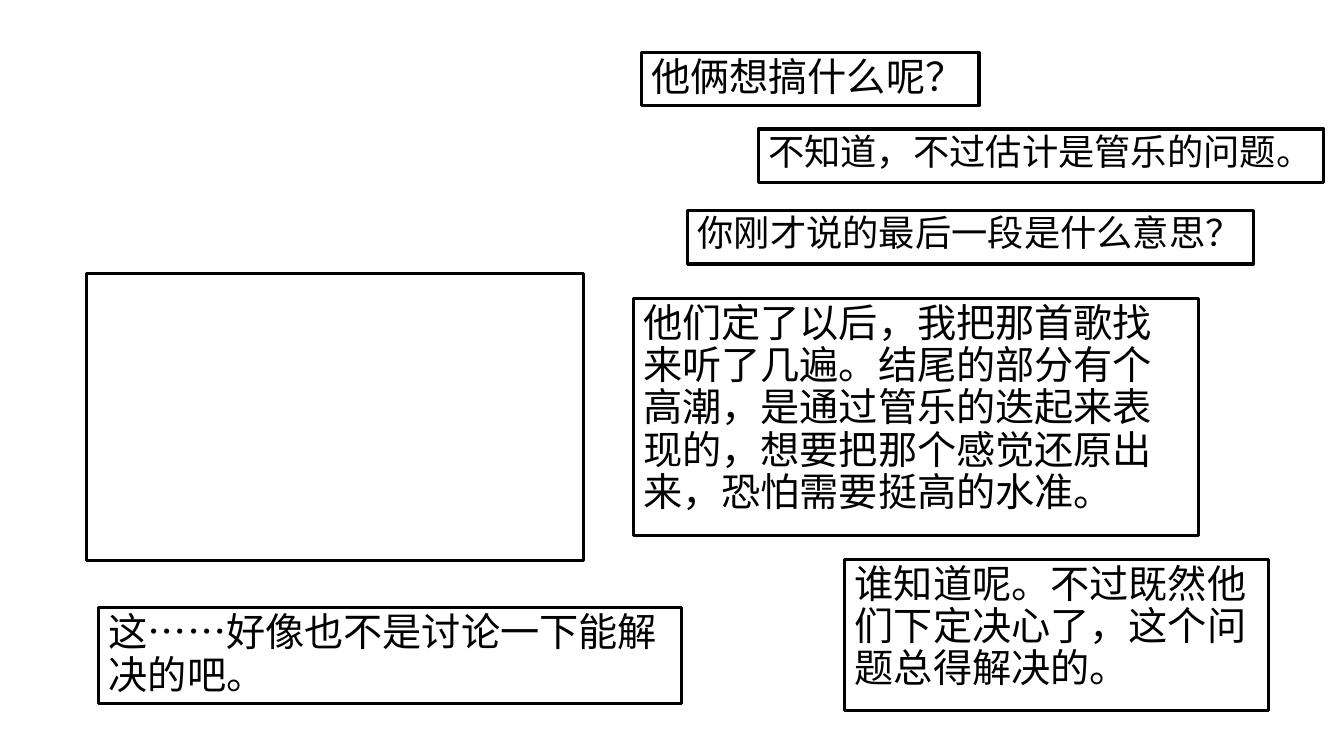
from lxml.etree import SubElement
from pptx import Presentation
from pptx.dml.color import RGBColor
from pptx.enum.shapes import MSO_SHAPE
from pptx.enum.text import MSO_ANCHOR, PP_ALIGN
from pptx.oxml.ns import qn
from pptx.util import Inches, Pt

BLACK = RGBColor(0x00, 0x00, 0x00)
FONT = "Noto Sans CJK SC"

presentation = Presentation()
presentation.slide_width = Inches(13.33)
presentation.slide_height = Inches(7.5)
slide = presentation.slides.add_slide(presentation.slide_layouts[6])


def add_frame(left, top, width, height):
    shape = slide.shapes.add_shape(
        MSO_SHAPE.RECTANGLE, Inches(left), Inches(top), Inches(width), Inches(height)
    )
    shape.shadow.inherit = False
    shape.fill.background()
    shape.line.color.rgb = BLACK
    shape.line.width = Pt(2.25)
    return shape


add_frame(0.86, 2.71, 4.93, 2.85)

dialogue = [
    (6.36, 0.52, 3.35, 0.53, 28, "他俩想搞什么呢？"),
    (7.52, 1.28, 5.61, 0.53, 25.9, "不知道，不过估计是管乐的问题。"),
    (6.82, 2.09, 5.61, 0.53, 25.9, "你刚才说的最后一段是什么意思？"),
    (6.28, 2.96, 5.61, 2.35, 28,
     "他们定了以后，我把那首歌找来听了几遍。结尾的部分有个高潮，"
     "是通过管乐的迭起来表现的，想要把那个感觉还原出来，恐怕需要挺高的水准。"),
    (0.98, 6.03, 5.78, 0.95, 28, "这……好像也不是讨论一下能解决的吧。"),
    (8.38, 5.55, 4.2, 1.5, 28,
     "谁知道呢。不过既然他们下定决心了，这个问题总得解决的。"),
]

for left, top, width, height, size, words in dialogue:
    text_frame = add_frame(left, top, width, height).text_frame
    text_frame.word_wrap = True
    text_frame.vertical_anchor = MSO_ANCHOR.TOP
    paragraph = text_frame.paragraphs[0]
    paragraph.text = words
    paragraph.alignment = PP_ALIGN.LEFT
    paragraph.line_spacing = 0.9
    paragraph.font.size = Pt(size)
    paragraph.font.color.rgb = BLACK
    paragraph.font.name = FONT
    # Chinese characters take the East Asian typeface
    font_properties = paragraph._p.pPr.find(qn("a:defRPr"))
    SubElement(font_properties, qn("a:ea"), typeface=FONT)

presentation.save("out.pptx")
